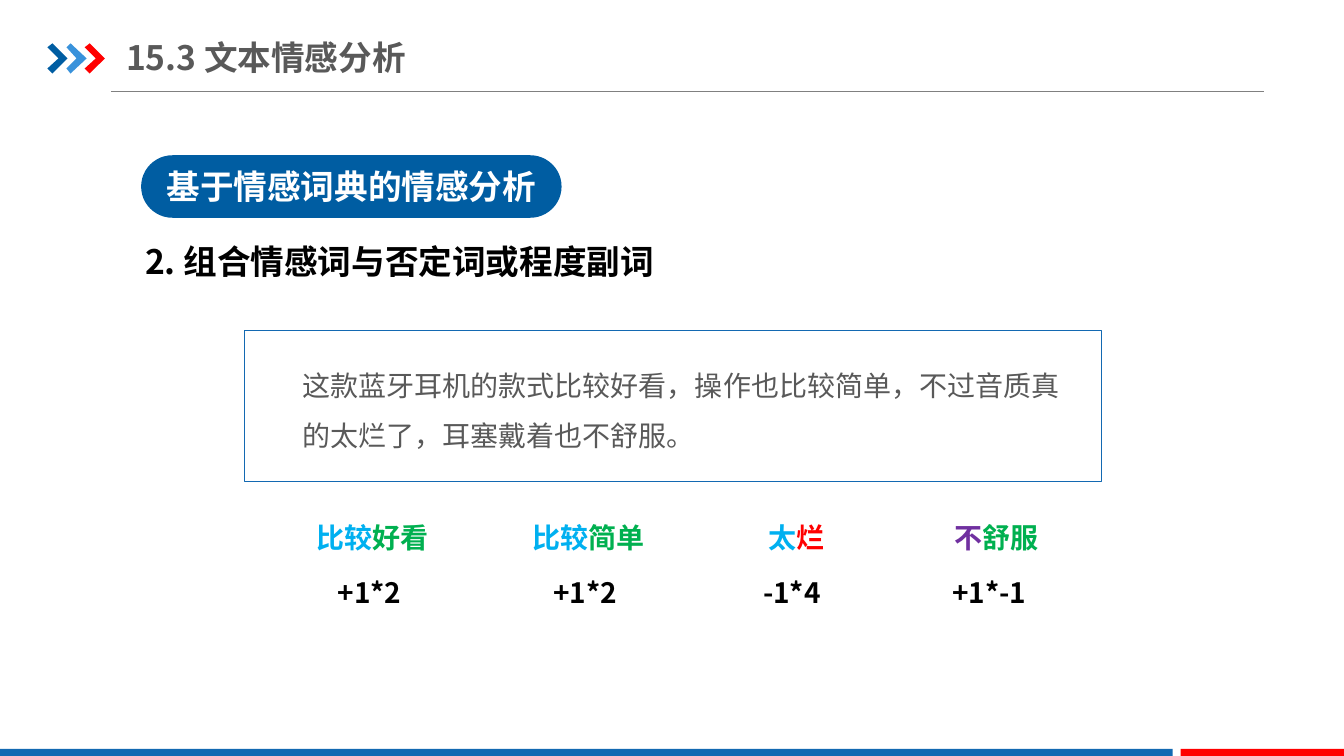
from lxml import etree
from pptx import Presentation, util as u
from pptx.dml.color import RGBColor
from pptx.enum import shapes, text
from pptx.oxml.ns import qn

FONT = "Noto Sans CJK SC"
NAVY = RGBColor(0x00, 0x5D, 0xA2)
BLUE = RGBColor(0x13, 0x69, 0xB2)
LIGHT = RGBColor(0x39, 0x92, 0xDB)
RED = RGBColor(0xFF, 0x00, 0x00)
GRAY = RGBColor(0x59, 0x59, 0x59)
RULE = RGBColor(0x80, 0x80, 0x80)
SKY = RGBColor(0x00, 0xB0, 0xF0)
GREEN = RGBColor(0x00, 0xB0, 0x50)
PURPLE = RGBColor(0x70, 0x30, 0xA0)
WHITE = RGBColor(0xFF, 0xFF, 0xFF)
BLACK = RGBColor(0x00, 0x00, 0x00)

TITLE = "15.3 文本情感分析"
TOPIC = "基于情感词典的情感分析"
STEP = "2. 组合情感词与否定词或程度副词"
REVIEW = "这款蓝牙耳机的款式比较好看，操作也比较简单，不过音质真的太烂了，耳塞戴着也不舒服。"
# column centre, coloured word parts, score, score width
TERMS = [
    (3.7, [("比较", SKY), ("好看", GREEN)], "+1*2", 0.9),
    (5.84, [("比较", SKY), ("简单", GREEN)], "+1*2", 0.9),
    (7.9, [("太", SKY), ("烂", RED)], "-1*4", 0.86),
    (9.89, [("不", PURPLE), ("舒服", GREEN)], "+1*-1", 1.09),
]
WORD_Y, SCORE_Y, ROW_H = 5.11, 5.66, 0.44
GLYPH, PAD = 0.28, 0.2
# chevron outline in hundredths of an inch
CHEVRON = [(0, 4), (5, 0), (20, 15), (5, 30), (0, 25), (11, 15)]
MARKS = [NAVY, LIGHT, RED]
MARK_X, MARK_Y, MARK_STEP = 47, 43, 18.5

prs = Presentation()
prs.slide_width, prs.slide_height = u.Inches(13.33), u.Inches(7.5)
slide = prs.slides.add_slide(prs.slide_layouts[6])


def paint(shape, fill=None, line=None):
    shape.shadow.inherit = False
    if fill is None:
        shape.fill.background()
    else:
        shape.fill.solid()
        shape.fill.fore_color.rgb = fill
    if line is None:
        shape.line.fill.background()
    else:
        shape.line.color.rgb = line
        shape.line.width = u.Pt(0.75)
    return shape


def block(box, fill=None, line=None, kind=shapes.MSO_SHAPE.RECTANGLE):
    return paint(slide.shapes.add_shape(kind, *map(u.Inches, box)), fill, line)


def write(words, box=None, shape=None, size=20, color=BLACK, bold=True, wrap=True,
          grow=True, align=None, anchor=text.MSO_ANCHOR.TOP, space=None, inset=0.1):
    """Put a string, or (string, colour) parts, in a new text box or a given shape."""
    shape = shape or slide.shapes.add_textbox(*map(u.Inches, box))
    frame = shape.text_frame
    frame.word_wrap = wrap
    frame.auto_size = (text.MSO_AUTO_SIZE.SHAPE_TO_FIT_TEXT if grow
                       else text.MSO_AUTO_SIZE.NONE)
    frame.vertical_anchor = anchor
    frame.margin_left = frame.margin_right = u.Inches(inset)
    para = frame.paragraphs[0]
    para.alignment, para.line_spacing = align, space
    for part, tone in [(words, color)] if isinstance(words, str) else words:
        run = para.add_run()
        run.text = part
        font = run.font
        font.size, font.bold, font.name = u.Pt(size), bold, FONT
        font.color.rgb = tone
        etree.SubElement(run._r.get_or_add_rPr(), qn("a:ea")).set("typeface", FONT)


rule = slide.shapes.add_connector(
    shapes.MSO_CONNECTOR.STRAIGHT, *map(u.Inches, (1.1, 0.91, 12.54, 0.91)))
rule.line.color.rgb, rule.line.width = RULE, u.Pt(0.75)
etree.SubElement(rule._element.spPr, qn("a:effectLst"))

for i, tone in enumerate(MARKS):
    left = MARK_X + i * MARK_STEP
    dots = [(left + x, MARK_Y + y) for x, y in CHEVRON]
    path = slide.shapes.build_freeform(*dots[0], scale=u.Inches(0.01))
    path.add_line_segments(dots[1:], close=True)
    paint(path.convert_to_shape(), tone)

block((0, 7.43, 11.63, 0.09), BLUE)
block((11.71, 7.43, 1.63, 0.09), RED)

write(TITLE, (1.25, 0.29, 4.88, 0.55), size=24, color=GRAY, grow=False,
      anchor=text.MSO_ANCHOR.MIDDLE, inset=0)
pill = block((1.4, 1.54, 4.17, 0.62), NAVY, kind=shapes.MSO_SHAPE.ROUNDED_RECTANGLE)
pill.adjustments[0] = 0.5
write(TOPIC, shape=pill, size=24, color=WHITE, grow=False,
      align=text.PP_ALIGN.CENTER, anchor=text.MSO_ANCHOR.MIDDLE)
write(STEP, (1.34, 2.34, 5.45, 0.5), size=24, wrap=False)
write(REVIEW, (2.9, 3.44, 7.8, 1.05), color=GRAY, bold=False, space=1.5)
block((2.43, 3.28, 8.5, 1.5), line=BLUE)

for mid, parts, score, wide in TERMS:
    span = GLYPH * sum(len(word) for word, _ in parts) + PAD
    write(parts, (mid - span / 2, WORD_Y, span, ROW_H), wrap=False)
    write(score, (mid - wide / 2, SCORE_Y, wide, ROW_H), wrap=False)

prs.save("out.pptx")
